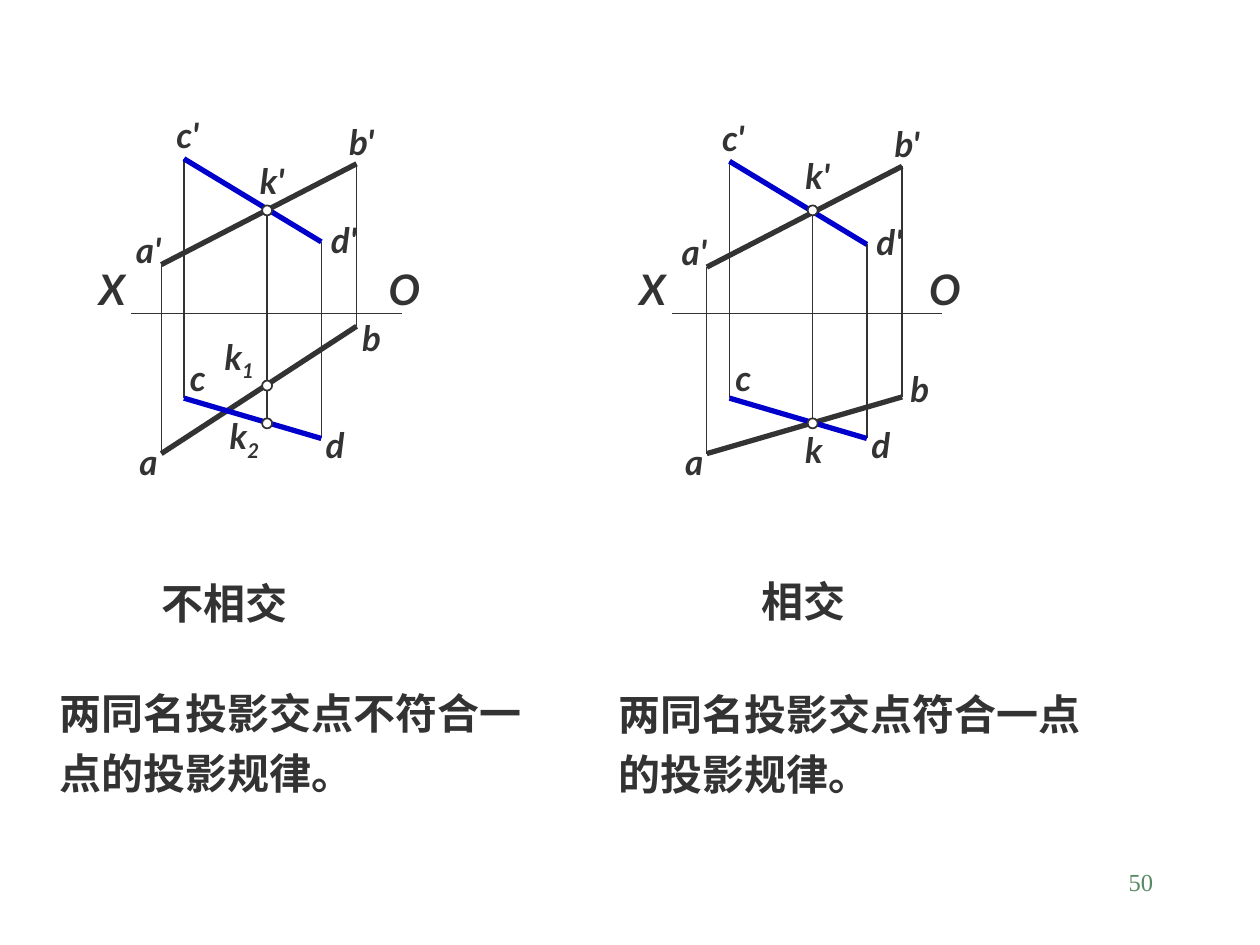
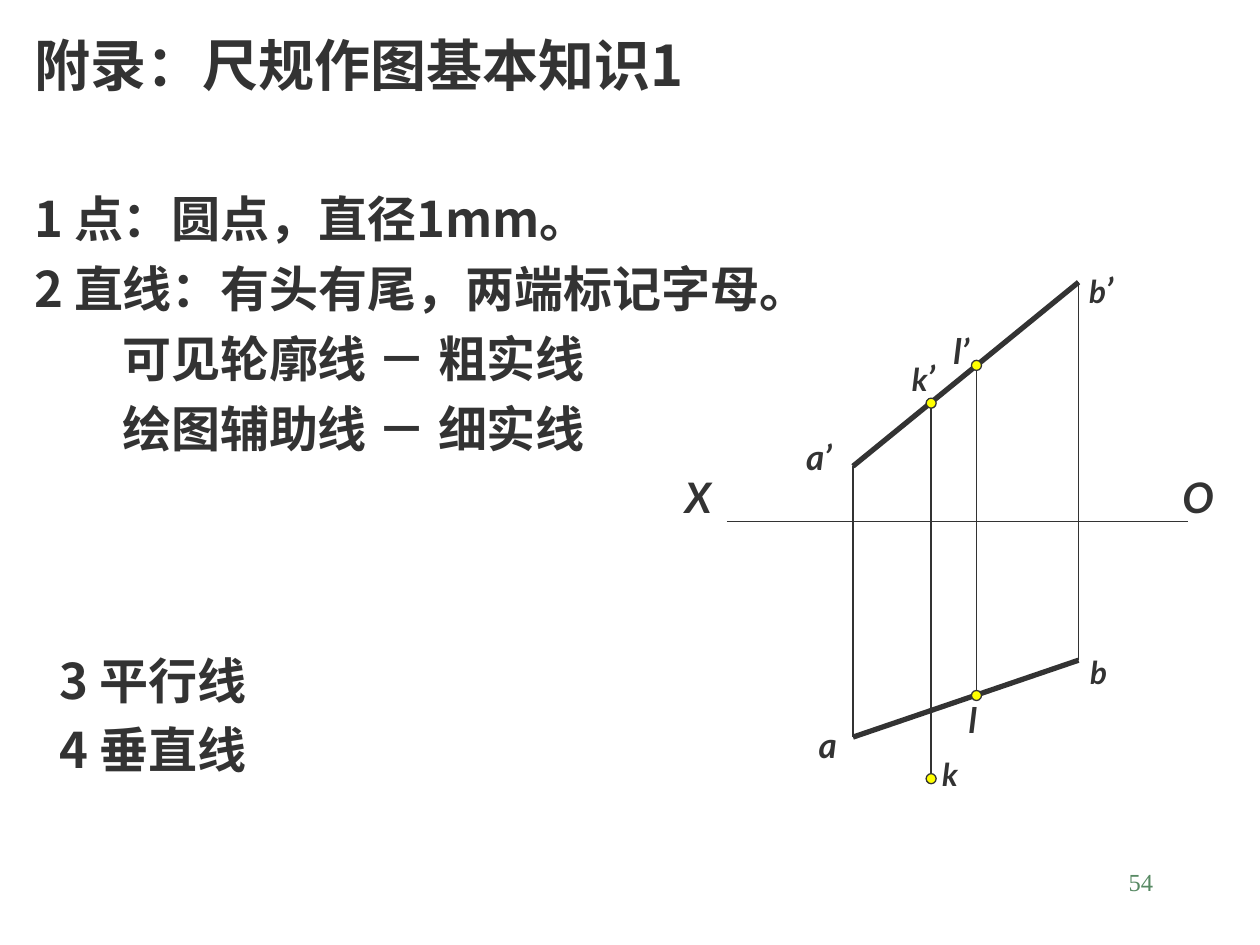
from dataclasses import dataclass
from typing import Any, NamedTuple

from lxml.etree import SubElement
from pptx import Presentation
from pptx.dml.color import RGBColor
from pptx.enum.shapes import MSO_CONNECTOR as Connector, MSO_SHAPE as Preset
from pptx.enum.text import MSO_ANCHOR as Anchor, MSO_AUTO_SIZE as AutoSize, PP_ALIGN as Align
from pptx.oxml.ns import qn
from pptx.util import Inches, Pt


# Theme: colours, fonts and type sizes
@dataclass(frozen=True)
class Theme:
    ink: str = "333333"
    blue: str = "0000CC"
    white: str = "FFFFFF"
    yellow: str = "FFFF00"
    green: str = "578963"
    chinese_font: str = "Noto Sans CJK SC"
    label_font: str = "Lato"
    number_font: str = "Times New Roman"
    title_size: int = 32
    list_size: int = 28
    text_size: int = 24
    axis_size: int = 24
    label_size: int = 20
    small_size: int = 18
    number_size: int = 14
    line_pitch: float = 1.43
    thin: float = 0.75
    thick: float = 3
    dot: float = 0.08


THEME = Theme()


# Parts of a projection drawing
class Point(NamedTuple):
    x: float
    front_y: float
    top_y: float


class Segment(NamedTuple):
    start: str
    end: str
    color: str = THEME.ink


class Label(NamedTuple):
    text: str
    x: float
    y: float
    size: int = THEME.label_size
    tail: str = ""
    tail_baseline: int = 0


class Dot(NamedTuple):
    x: float
    y: float


class Axis(NamedTuple):
    left: float
    right: float
    y: float
    x_label: float
    o_label: float


@dataclass
class Figure:
    points: dict[str, Point]
    segments: list[Segment]
    axis: Axis
    labels: list[Label]
    dots: list[Dot]
    dot_color: str
    dot_line: float


class TextBlock(NamedTuple):
    placeholder: int
    left: float
    top: float
    width: float
    height: float
    size: int
    lines: list[str]
    indented: tuple[int, ...] = ()


# Drawing functions
def apply(target: Any, formats: dict[str, Any]) -> None:
    for name, value in formats.items():
        setattr(target, name, value)


def format_run(run: Any, font: str, size: float, color: str = THEME.ink,
               bold: bool = True, italic: bool = False) -> None:
    apply(run.font, {"name": font, "size": Pt(size), "bold": bold, "italic": italic})
    run.font.color.rgb = RGBColor.from_string(color)
    properties = run.font._element
    SubElement(properties, qn("a:ea")).set("typeface", font)


def add_line(slide: Any, start: tuple[float, float], end: tuple[float, float],
             color: str = THEME.ink, width: float = THEME.thin) -> None:
    ends = [Inches(value) for value in (*start, *end)]
    connector = slide.shapes.add_connector(Connector.STRAIGHT, *ends)
    connector.line.color.rgb = RGBColor.from_string(color)
    connector.line.width = Pt(width)
    SubElement(connector.element.find(qn("p:spPr")), qn("a:effectLst"))


def add_label(slide: Any, label: Label, width: float = 0.8, height: float = 0.44) -> None:
    box = slide.shapes.add_textbox(Inches(label.x - width / 2), Inches(label.y - height / 2),
                                   Inches(width), Inches(height))
    apply(box.text_frame, {"word_wrap": True, "vertical_anchor": Anchor.MIDDLE})
    paragraph = box.text_frame.paragraphs[0]
    paragraph.alignment = Align.CENTER
    parts = [(label.text, label.size, 0)]
    if label.tail:
        parts.append((label.tail, THEME.label_size, label.tail_baseline))
    for text, size, baseline in parts:
        run = paragraph.add_run()
        run.text = text
        format_run(run, THEME.label_font, size, italic=True)
        if baseline:
            run.font._element.set("baseline", str(baseline * 1000))


def add_dot(slide: Any, dot: Dot, color: str, line_width: float) -> None:
    size = THEME.dot
    shape = slide.shapes.add_shape(Preset.FLOWCHART_CONNECTOR, Inches(dot.x - size / 2),
                                   Inches(dot.y - size / 2), Inches(size), Inches(size))
    shape.shadow.inherit = False
    shape.fill.solid()
    shape.fill.fore_color.rgb = RGBColor.from_string(color)
    shape.line.color.rgb = RGBColor.from_string(THEME.ink)
    shape.line.width = Pt(line_width)


def draw_figure(slide: Any, figure: Figure) -> None:
    axis = figure.axis
    add_line(slide, (axis.left, axis.y), (axis.right, axis.y))
    for text, x in (("X", axis.x_label), ("O", axis.o_label)):
        add_label(slide, Label(text, x, axis.y - 0.2, THEME.axis_size))
    # Thin projection lines, then both views of each segment
    for point in figure.points.values():
        add_line(slide, (point.x, point.front_y), (point.x, point.top_y))
    for segment in figure.segments:
        start, end = figure.points[segment.start], figure.points[segment.end]
        for view in ("front_y", "top_y"):
            add_line(slide, (start.x, getattr(start, view)), (end.x, getattr(end, view)),
                     segment.color, THEME.thick)
    for label in figure.labels:
        add_label(slide, label)
    for dot in figure.dots:
        add_dot(slide, dot, figure.dot_color, figure.dot_line)


def fill_block(slide: Any, block: TextBlock) -> None:
    shape = slide.placeholders[block.placeholder]
    apply(shape, {"left": Inches(block.left), "top": Inches(block.top),
                  "width": Inches(block.width), "height": Inches(block.height)})
    frame = shape.text_frame
    apply(frame, {"text": "\n".join(block.lines), "word_wrap": True,
                  "auto_size": AutoSize.NONE, "vertical_anchor": Anchor.TOP})
    for index, paragraph in enumerate(frame.paragraphs):
        properties = paragraph._p.get_or_add_pPr()
        margin = Inches(0.7) if index in block.indented else 0
        properties.set("marL", str(int(margin)))
        properties.set("indent", "0")
        SubElement(properties, qn("a:buNone"))
        apply(paragraph, {"alignment": Align.LEFT, "space_before": Pt(0), "space_after": Pt(0),
                          "line_spacing": Pt(round(block.size * THEME.line_pitch, 1))})
        for run in paragraph.runs:
            format_run(run, THEME.chinese_font, block.size)


def add_page_number(slide: Any, number: int) -> None:
    box = slide.shapes.add_textbox(Inches(7.17), Inches(6.83), Inches(2.08), Inches(0.5))
    box.text_frame.word_wrap = True
    paragraph = box.text_frame.paragraphs[0]
    paragraph.alignment = Align.RIGHT
    run = paragraph.add_run()
    run.text = str(number)
    format_run(run, THEME.number_font, THEME.number_size, THEME.green, bold=False)


def add_slide(presentation: Any, layout: str, number: int, blocks: list[TextBlock],
              figures: list[Figure]) -> None:
    slide = presentation.slides.add_slide(presentation.slide_layouts.get_by_name(layout))
    add_page_number(slide, number)
    for figure in figures:
        draw_figure(slide, figure)
    for block in blocks:
        fill_block(slide, block)
    for placeholder in list(slide.placeholders):
        if not placeholder.text_frame.text:
            placeholder.element.getparent().remove(placeholder.element)


# Two lines AB and CD, moved right by shift; the front view drops a little
def crossing_figure(shift: float, axis_shift: float, drop: float, b_top: float,
                    labels: list[Label], dot_heights: list[float]) -> Figure:
    points = {"a": Point(1.28, 2.1, 3.6), "b": Point(2.83, 1.3, b_top),
              "c": Point(1.46, 1.26, 3.16), "d": Point(2.55, 1.92, 3.48),
              "k": Point(2.12, 1.67, 3.36)}
    front_labels = [Label("a'", 1.18, 1.98), Label("b'", 2.87, 1.12),
                    Label("c'", 1.49, 1.07), Label("d'", 2.73, 1.9)]
    top_labels = [Label("a", 1.18, 3.66), Label("c", 1.57, 3), Label("d", 2.66, 3.53)]
    moved = [label._replace(x=label.x + shift, y=label.y + drop) for label in front_labels]
    moved += [label._replace(x=label.x + shift) for label in top_labels + labels]
    return Figure(
        points={name: Point(point.x + shift, point.front_y + drop, point.top_y)
                for name, point in points.items()},
        segments=[Segment("a", "b"), Segment("c", "d", THEME.blue)],
        axis=Axis(1.04 + axis_shift, 3.19 + axis_shift, 2.49,
                  0.89 + axis_shift, 3.21 + axis_shift),
        labels=moved,
        dots=[Dot(points["k"].x + shift, height) for height in dot_heights],
        dot_color=THEME.white, dot_line=1)


def main() -> None:
    presentation = Presentation()
    presentation.slide_width, presentation.slide_height = Inches(10), Inches(7.5)

    # Slide 50: lines that do not meet and lines that do
    apart = crossing_figure(
        0, 0, 0, 2.59,
        [Label("b", 2.95, 2.68), Label("k'", 2.16, 1.43),
         Label("k", 1.9, 2.85, tail="1", tail_baseline=-25),
         Label("k", 1.94, 3.48, tail="2", tail_baseline=-25)],
        [1.67, 3.06, 3.36])
    meeting = crossing_figure(
        4.33, 4.29, 0.02, 3.15,
        [Label("b", 2.97, 3.08), Label("k'", 2.16, 1.39), Label("k", 2.13, 3.57)],
        [1.67, 3.36])
    size = THEME.text_size
    add_slide(presentation, "Comparison", 50, [
        TextBlock(1, 1.18, 4.46, 3, 0.6, size, ["不相交"]),
        TextBlock(2, 0.37, 5.33, 4.15, 1.1, size, ["两同名投影交点不符合一点的投影规律。"]),
        TextBlock(3, 5.94, 4.44, 3, 0.6, size, ["相交"]),
        TextBlock(4, 4.81, 5.34, 4.15, 1.1, size, ["两同名投影交点符合一点的投影规律。"]),
    ], [apart, meeting])

    # Slide 54: drawing basics with a sample line
    points = {"a": Point(6.77, 3.7, 5.85), "b": Point(8.56, 2.24, 5.24),
              "k": Point(7.39, 3.2, 6.18), "l": Point(7.75, 2.9, 5.52)}
    sample = Figure(
        points=points,
        segments=[Segment("a", "b")],
        axis=Axis(5.77, 9.43, 4.14, 5.54, 9.51),
        labels=[Label("a’", 6.5, 3.62), Label("a", 6.57, 5.91),
                Label("b", 8.74, 2.3, THEME.small_size, "’"),
                Label("b", 8.72, 5.33, THEME.small_size),
                Label("l’", 7.63, 2.78), Label("l", 7.72, 5.71),
                Label("k", 7.33, 3, THEME.small_size, "’"),
                Label("k", 7.54, 6.14, THEME.small_size)],
        dots=[Dot(points[name].x, height) for name in "kl"
              for height in (points[name].front_y, points[name].top_y)],
        dot_color=THEME.yellow, dot_line=THEME.thin)
    add_slide(presentation, "Two Content", 54, [
        TextBlock(0, 0.17, 0.09, 9.63, 0.8, THEME.title_size, ["附录：尺规作图基本知识1"]),
        TextBlock(1, 0.17, 1.36, 9.63, 2.35, THEME.list_size,
                  ["1 点：圆点，直径1mm。", "2 直线：有头有尾，两端标记字母。",
                   "可见轮廓线 － 粗实线", "绘图辅助线 － 细实线"], indented=(2, 3)),
        TextBlock(2, 0.37, 5.02, 4.5, 1.25, THEME.list_size, ["3 平行线", "4 垂直线"]),
    ], [sample])

    presentation.save("out.pptx")


if __name__ == "__main__":
    main()
